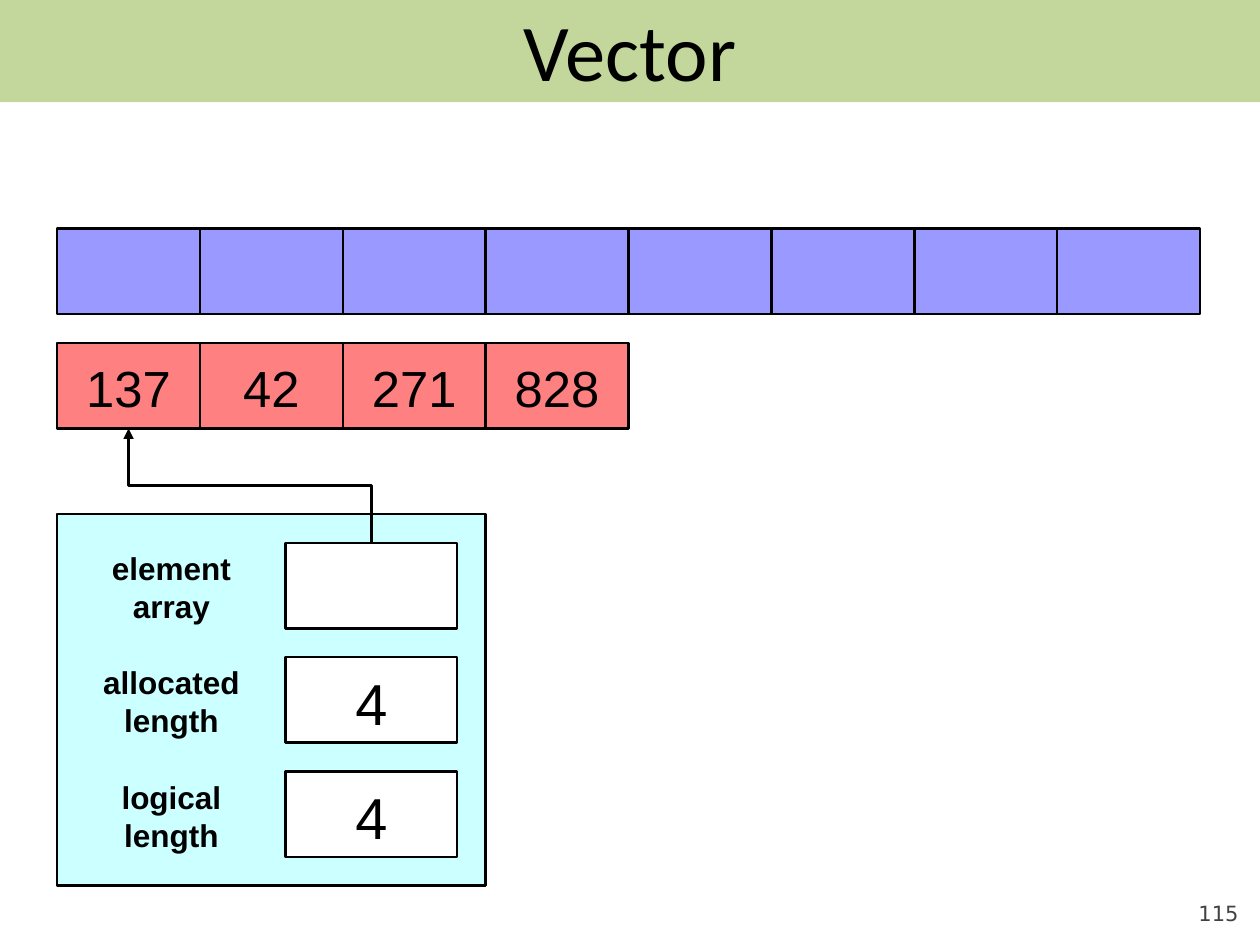
from lxml import etree
from pptx import Presentation
from pptx.dml.color import RGBColor
from pptx.enum.shapes import MSO_CONNECTOR, MSO_SHAPE
from pptx.enum.text import MSO_ANCHOR, PP_ALIGN
from pptx.oxml.ns import qn
from pptx.util import Inches, Pt

RECT, ROUND_RECT = MSO_SHAPE.RECTANGLE, MSO_SHAPE.ROUNDED_RECTANGLE
ELBOW = MSO_CONNECTOR.ELBOW
MIDDLE, BOTTOM = MSO_ANCHOR.MIDDLE, MSO_ANCHOR.BOTTOM
CENTER, RIGHT = PP_ALIGN.CENTER, PP_ALIGN.RIGHT

BLACK = RGBColor(0x00, 0x00, 0x00)
WHITE = RGBColor(0xFF, 0xFF, 0xFF)
GREEN = RGBColor(0xC3, 0xD6, 0x9B)
CYAN = RGBColor(0xCC, 0xFF, 0xFF)
RED = RGBColor(0xFF, 0x80, 0x80)
BLUE = RGBColor(0x99, 0x99, 0xFF)
GRAY = RGBColor(0x42, 0x42, 0x42)

SLIDE_W, SLIDE_H = Inches(10), Inches(7.5)
UNIT = SLIDE_W / 44.1
LINE_WIDTH = Pt(1.45)

TITLE_FONT = {"name": "Calibri", "size": Pt(46)}
CELL_FONT = {"name": "Arial", "size": Pt(29)}
VALUE_FONT = {"name": "Arial", "size": Pt(33)}
LABEL_FONT = {"name": "Arial", "size": Pt(18), "bold": True}
NUMBER_FONT = {"name": "DejaVu Sans", "size": Pt(12)}


def grid(col, row, cols, rows):
    return [round(n * UNIT) for n in (col, row, cols, rows)]


def write(shape, lines, font, color=BLACK, align=CENTER, anchor=MIDDLE,
          insets=(0.1, 0.05, 0.1, 0.05), wrap=False):
    frame = shape.text_frame
    left, top, right, bottom = [Inches(inset) for inset in insets]
    layout = {"word_wrap": wrap, "vertical_anchor": anchor, "margin_left": left,
              "margin_top": top, "margin_right": right, "margin_bottom": bottom}
    for key, value in layout.items():
        setattr(frame, key, value)
    for index, line in enumerate(lines):
        paragraph = frame.add_paragraph() if index else frame.paragraphs[0]
        paragraph.alignment = align
        run = paragraph.add_run()
        run.text = line
        for key, value in font.items():
            setattr(run.font, key, value)
        run.font.color.rgb = color


def add_block(slide, box, fill, outlined=True, kind=RECT):
    block = slide.shapes.add_shape(kind, *box)
    block.shadow.inherit = False
    block.fill.solid()
    block.fill.fore_color.rgb = fill
    if outlined:
        block.line.color.rgb = BLACK
        block.line.width = LINE_WIDTH
    else:
        block.line.fill.background()
    return block


def add_title(slide, box, title):
    backdrop = add_block(slide, box, GREEN, False, ROUND_RECT)
    backdrop.adjustments[0] = 0
    left, top, width, height = box
    banner = add_block(slide, (left, top - Inches(0.01), width, height), GREEN, False)
    color = banner.fill._xPr.find(qn("a:solidFill"))[0]
    etree.SubElement(color, qn("a:alpha"), val="80000")
    write(banner, [title], TITLE_FONT, wrap=True)


def add_array(slide, box, count, fill, values=()):
    col, row, cols, rows = box
    step = cols / count
    cells = [add_block(slide, grid(col + i * step, row, step, rows), fill)
             for i in range(count)]
    for cell, value in zip(cells, values):
        write(cell, [value], CELL_FONT, insets=(0.1, 0.08, 0.1, 0.05))
    return cells


def add_vector(slide, box, fields):
    col, row, cols, rows = box
    add_block(slide, grid(*box), CYAN)
    holders = []
    for i, (label, value) in enumerate(fields):
        field_row = row + 1 + 4 * i
        holder = add_block(slide, grid(col + 8, field_row, 6, 3), WHITE)
        if value:
            write(holder, [value], VALUE_FONT, insets=(0.1, 0.09, 0.1, 0.05))
        caption = slide.shapes.add_textbox(*grid(col + 1, field_row, 6, 3))
        write(caption, label, LABEL_FONT, insets=(0.1, 0.07, 0.1, 0.05))
        holders.append(holder)
    return holders


def add_pointer(slide, source, target):
    start_x, start_y = source.left + source.width // 2, source.top
    end_x, end_y = target.left + target.width // 2, target.top + target.height
    pointer = slide.shapes.add_connector(ELBOW, start_x, start_y, end_x, end_y)
    pointer.begin_connect(source, 0)
    pointer.end_connect(target, 2)
    across, up = start_x - end_x, start_y - end_y
    frame = {"left": (start_x + end_x - up) // 2, "top": (start_y + end_y - across) // 2,
             "width": up, "height": across}
    for key, value in frame.items():
        setattr(pointer, key, value)
    properties = pointer._element.spPr
    transform = properties.find(qn("a:xfrm"))
    for key, value in {"rot": "16200000", "flipH": "0", "flipV": "1"}.items():
        transform.set(key, value)
    pointer.line.color.rgb = BLACK
    pointer.line.width = LINE_WIDTH
    etree.SubElement(properties.find(qn("a:ln")), qn("a:tailEnd"), type="triangle")
    etree.SubElement(properties, qn("a:effectLst"))


def add_page_number(slide, box, number):
    page = slide.shapes.add_textbox(*box)
    write(page, [number], NUMBER_FONT, GRAY, RIGHT, BOTTOM, (0, 0, 0, 0), True)


def main():
    deck = Presentation()
    deck.slide_width, deck.slide_height = SLIDE_W, SLIDE_H
    slide = deck.slides.add_slide(deck.slide_layouts[6])
    add_page_number(slide, [Inches(n) for n in (9, 6.95, 0.83, 0.4)], "115")
    add_title(slide, (0, 0, SLIDE_W, Inches(0.81)), "Vector")
    holders = add_vector(slide, (2, 18, 15, 13), [
        (("element", "array"), ""),
        (("allocated", "length"), "4"),
        (("logical", "length"), "4"),
    ])
    elements = add_array(slide, (2, 12, 20, 3), 4, RED, ("137", "42", "271", "828"))
    add_array(slide, (2, 8, 40, 3), 8, BLUE)
    add_pointer(slide, holders[0], elements[0])
    deck.save("out.pptx")


if __name__ == "__main__":
    main()
